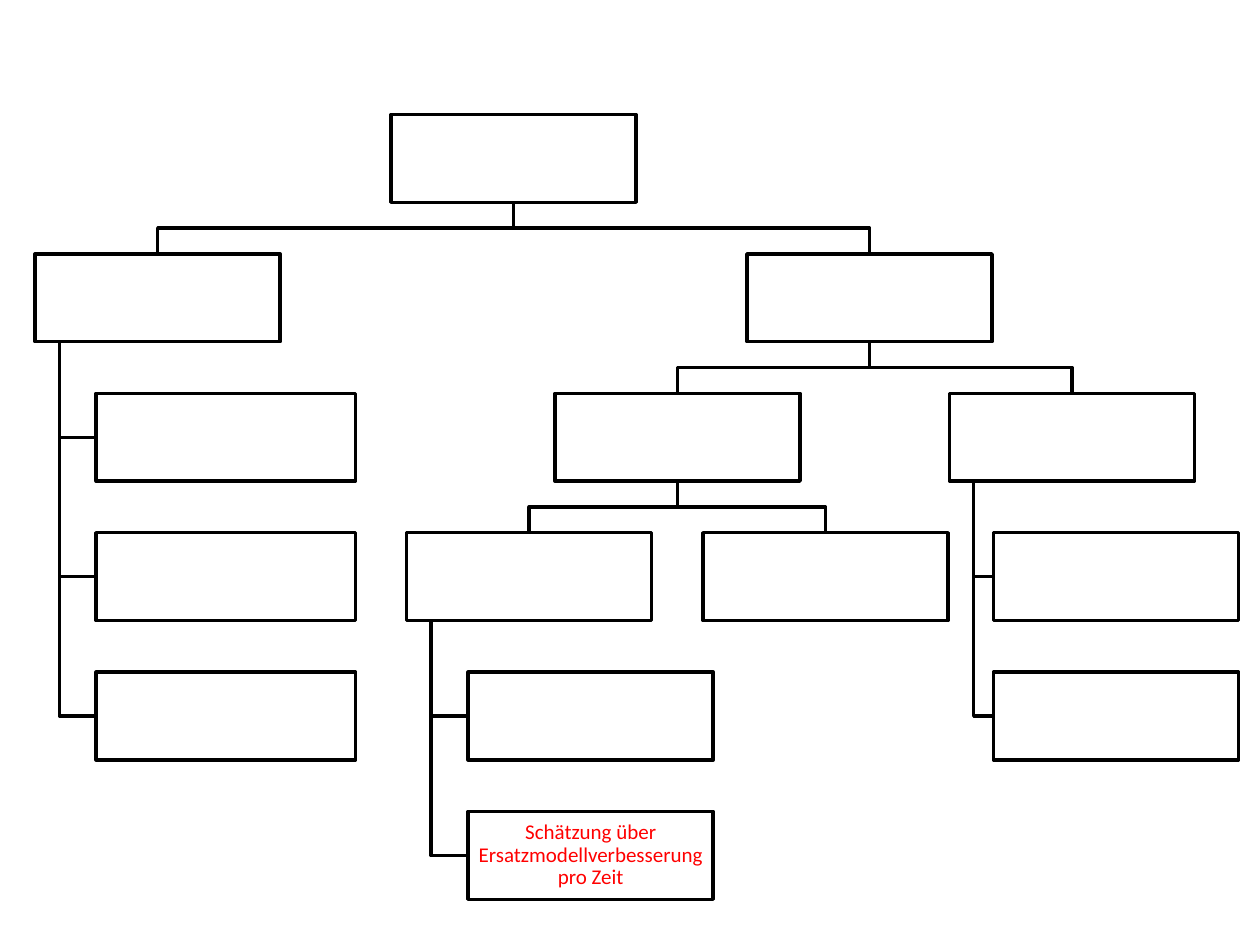
from collections import namedtuple

from pptx import Presentation
from pptx import util as u
from pptx.dml.color import RGBColor
from pptx.enum import shapes, text

BLACK = RGBColor(0x00, 0x00, 0x00)
WHITE = RGBColor(0xFF, 0xFF, 0xFF)
RED = RGBColor(0xFF, 0x00, 0x00)

TOP, ROW_STEP, HEIGHT = 2.31, 2.81, 1.77
WIDTH, WIDE = 4.94, 5.23
HANG_INDENT = 0.49

Node = namedtuple("Node", "left row parent hanging width label",
                  defaults=(None, False, WIDTH, ""))

NODES = {
    "root": Node(7.88, 0),
    "left": Node(0.71, 1, "root"),
    "left first": Node(1.94, 2, "left", True, WIDE),
    "left second": Node(1.94, 3, "left", True, WIDE),
    "left third": Node(1.94, 4, "left", True, WIDE),
    "right": Node(15.06, 1, "root"),
    "middle": Node(11.19, 2, "right"),
    "middle left": Node(8.2, 3, "middle"),
    "criterion": Node(9.44, 4, "middle left", True),
    "estimate": Node(9.44, 5, "middle left", True,
                     label="Schätzung über Ersatzmodellverbesserung pro Zeit"),
    "middle right": Node(14.17, 3, "middle"),
    "outer": Node(19.14, 2, "right"),
    "outer first": Node(20.03, 3, "outer", True),
    "outer second": Node(20.03, 4, "outer", True),
}


def row_top(node):
    return TOP + node.row * ROW_STEP


def center(node):
    return node.left + node.width / 2


def style_line(shape):
    shape.shadow.inherit = False
    shape.line.color.rgb = BLACK
    shape.line.width = u.Pt(2)


def add_branch(page, parent, child):
    bottom = row_top(parent) + HEIGHT
    top = row_top(child)
    if child.hanging:
        stem = parent.left + HANG_INDENT
        middle = top + HEIGHT / 2
        points = [(stem, bottom), (stem, middle), (child.left, middle)]
    else:
        turn = (bottom + top) / 2
        points = [(center(parent), bottom), (center(parent), turn),
                  (center(child), turn), (center(child), top)]
    start, *rest = [(u.Cm(x), u.Cm(y)) for x, y in points]
    builder = page.shapes.build_freeform(*start)
    builder.add_line_segments(rest, close=False)
    branch = builder.convert_to_shape()
    branch.fill.background()
    style_line(branch)


def add_label(box, label):
    frame = box.text_frame
    frame.word_wrap = True
    frame.vertical_anchor = text.MSO_ANCHOR.MIDDLE
    frame.margin_left = frame.margin_right = u.Cm(0.02)
    frame.margin_top = frame.margin_bottom = u.Cm(0.02)
    para = frame.paragraphs[0]
    para.alignment = text.PP_ALIGN.CENTER
    para.line_spacing = 0.9
    span = para.add_run()
    span.text = label
    span.font.name = "Calibri"
    span.font.size = u.Pt(12)
    span.font.color.rgb = RED


def add_node(page, node):
    box = page.shapes.add_shape(
        shapes.MSO_SHAPE.RECTANGLE, u.Cm(node.left), u.Cm(row_top(node)),
        u.Cm(node.width), u.Cm(HEIGHT))
    box.fill.solid()
    box.fill.fore_color.rgb = WHITE
    style_line(box)
    if node.label:
        add_label(box, node.label)


def main():
    deck = Presentation()
    deck.slide_width, deck.slide_height = u.Cm(25.4), u.Cm(19.05)
    page = deck.slides.add_slide(deck.slide_layouts[6])
    for node in NODES.values():
        if node.parent:
            add_branch(page, NODES[node.parent], node)
    for node in NODES.values():
        add_node(page, node)
    deck.save("out.pptx")


if __name__ == "__main__":
    main()
